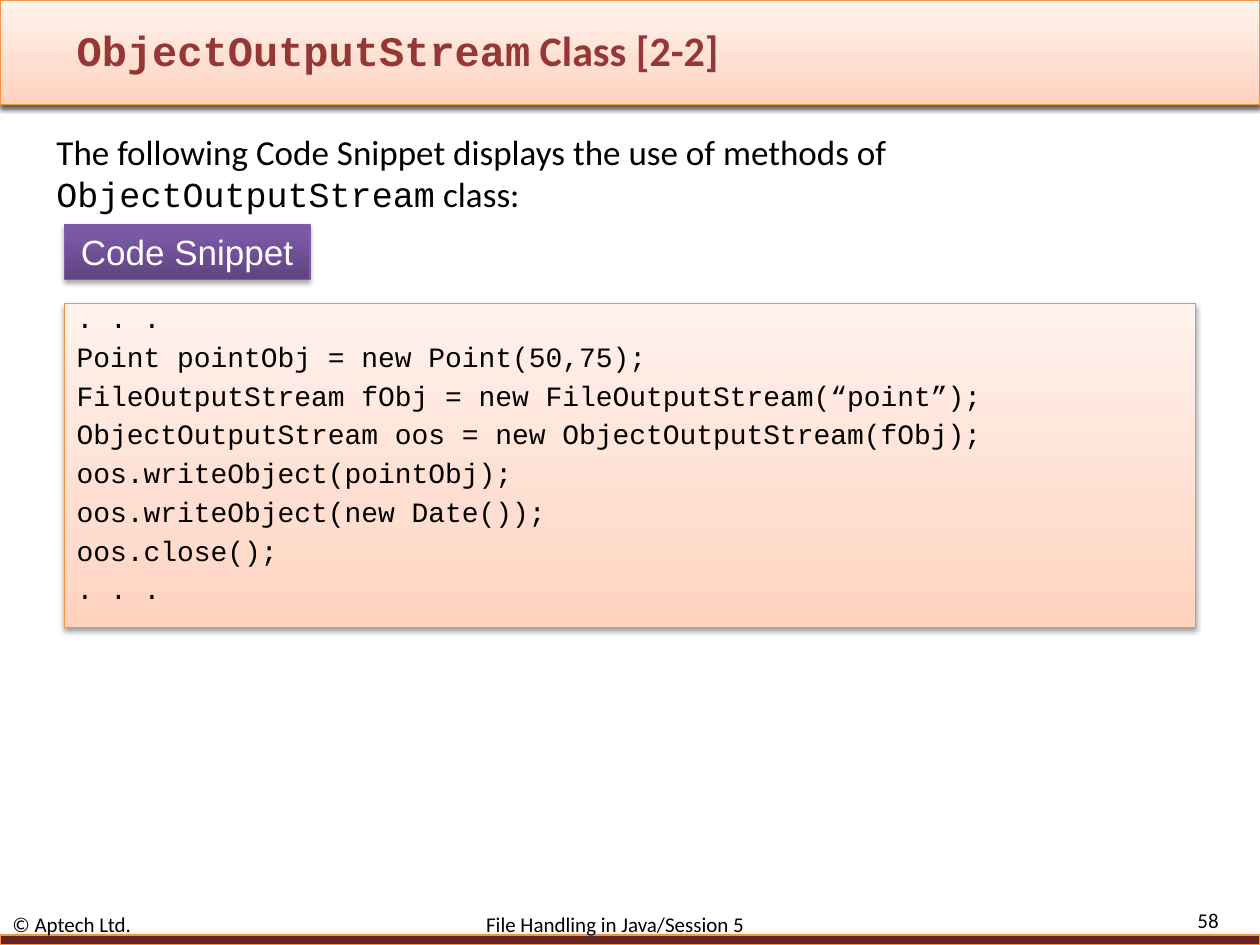
from copy import deepcopy

from lxml.etree import SubElement
from pptx import Presentation
from pptx.dml.color import RGBColor
from pptx.enum.shapes import MSO_SHAPE as Shape
from pptx.enum.text import MSO_ANCHOR as Anchor, PP_ALIGN as Align
from pptx.oxml.ns import qn
from pptx.util import Inches, Pt

BLACK = RGBColor(0x00, 0x00, 0x00)
WHITE = RGBColor(0xFF, 0xFF, 0xFF)
TITLE_RED = RGBColor(0x95, 0x37, 0x35)
MAROON = RGBColor(0x63, 0x25, 0x23)
ORANGE = RGBColor(0xF6, 0x92, 0x40)
PURPLE = RGBColor(0x7D, 0x60, 0xA0)
PEACH_STOPS = [(0, RGBColor(0xFF, 0xD2, 0xBD)), (35, RGBColor(0xFF, 0xDE, 0xD0)),
               (100, RGBColor(0xFF, 0xF2, 0xED))]
PURPLE_STOPS = [(0, RGBColor(0x5F, 0x44, 0x80)), (80, RGBColor(0x7B, 0x58, 0xA6)),
                (100, RGBColor(0x7C, 0x57, 0xA8))]
SANS, CODE, LABEL = "Calibri", "Courier New", "Arial"

CODE_LINES = [
    ". . .",
    "Point pointObj = new Point(50,75);",
    "FileOutputStream fObj = new FileOutputStream(“point”);",
    "ObjectOutputStream oos = new ObjectOutputStream(fObj);",
    "oos.writeObject(pointObj);",
    "oos.writeObject(new Date());",
    "oos.close();",
    ". . .",
]


class SlideBuilder:
    """Draws styled panels and text on one slide."""

    def __init__(self, slide):
        self.slide = slide

    def panel(self, left, top, width, height, fill, line, opacity=38, distance=1.6):
        shape = self.slide.shapes.add_shape(
            Shape.RECTANGLE, Inches(left), Inches(top), Inches(width), Inches(height))
        if isinstance(fill, list):
            self.gradient(shape, fill)
        else:
            shape.fill.solid()
            shape.fill.fore_color.rgb = fill
        shape.line.color.rgb = line
        shape.line.width = Pt(0.75)
        self.shadow(shape, opacity, distance)
        return shape

    def gradient(self, shape, stops):
        shape.fill.gradient()
        shape.fill.gradient_angle = 90
        stop_list = next(shape._element.iter(qn("a:gsLst")))
        stop_list.append(deepcopy(stop_list[0]))
        for stop, (position, color) in zip(shape.fill.gradient_stops, stops):
            stop.position = position / 100
            stop.color.rgb = color

    def shadow(self, shape, opacity, distance):
        shape.shadow.inherit = False
        effects = shape._element.spPr.find(qn("a:effectLst"))
        outer = SubElement(effects, qn("a:outerShdw"), blurRad=str(Pt(3.1)),
                           dist=str(Pt(distance)), dir="5400000", rotWithShape="0")
        color = SubElement(outer, qn("a:srgbClr"), val=str(BLACK))
        SubElement(color, qn("a:alpha"), val=str(opacity * 1000))

    def text_box(self, left, top, width, height, runs, size, color=BLACK,
                 bold=False, anchor=Anchor.MIDDLE, align=Align.LEFT):
        shape = self.slide.shapes.add_textbox(
            Inches(left), Inches(top), Inches(width), Inches(height))
        frame = shape.text_frame
        frame.word_wrap = True
        frame.vertical_anchor = anchor
        paragraph = frame.paragraphs[0]
        paragraph.alignment = align
        for text, font_name in runs:
            run = paragraph.add_run()
            run.text = text
            self.style(run.font, font_name, size, color, bold)
        return paragraph

    def panel_text(self, shape, lines, font_name, size, color, anchor=Anchor.TOP,
                   align=Align.LEFT, line_spacing=1.0, gap=0):
        frame = shape.text_frame
        frame.text = "\n".join(lines)
        frame.word_wrap = True
        frame.vertical_anchor = anchor
        for index, paragraph in enumerate(frame.paragraphs):
            paragraph.alignment = align
            paragraph.line_spacing = line_spacing
            paragraph.space_before = Pt(gap if index else 0)
            self.style(paragraph.runs[0].font, font_name, size, color)

    def tab_stop(self, paragraph, position):
        tabs = SubElement(paragraph._p.get_or_add_pPr(), qn("a:tabLst"))
        SubElement(tabs, qn("a:tab"), pos=str(Inches(position)), algn="l")

    def style(self, font, name, size, color, bold=False):
        font.name = name
        font.size = Pt(size)
        font.color.rgb = color
        font.bold = bold


def main():
    presentation = Presentation()
    presentation.slide_width = Inches(10)
    presentation.slide_height = Inches(7.5)
    builder = SlideBuilder(presentation.slides.add_slide(presentation.slide_layouts[6]))

    for _ in range(2):
        builder.panel(0, 0, 10, 0.83, PEACH_STOPS, ORANGE)
    builder.panel(0, 7.42, 10, 0.08, MAROON, ORANGE, 35, 1.8)
    builder.text_box(0.51, 0.17, 8.07, 0.45,
                     [("ObjectOutputStream", CODE), (" Class [2-2]", SANS)],
                     24, TITLE_RED, bold=True)

    footer = builder.text_box(0, 7.25, 8.83, 0.17,
                              [("© Aptech Ltd.\tFile Handling in Java/Session 5", SANS)], 12)
    builder.tab_stop(footer, 3.76)
    builder.text_box(8.92, 7.21, 0.85, 0.18, [("58", SANS)], 12, align=Align.RIGHT)

    builder.text_box(0.35, 0.99, 9.16, 6.14,
                     [("The following Code Snippet displays the use of methods of ", SANS),
                      ("ObjectOutputStream", CODE), (" class:", SANS)],
                     20, anchor=Anchor.TOP)

    code_panel = builder.panel(0.51, 2.41, 8.98, 2.57, PEACH_STOPS, ORANGE)
    builder.panel_text(code_panel, CODE_LINES, CODE, 16, BLACK, line_spacing=0.7, gap=8.7)
    label = builder.panel(0.51, 1.78, 1.95, 0.44, PURPLE_STOPS, PURPLE, 35, 1.8)
    builder.panel_text(label, ["Code Snippet"], LABEL, 20, WHITE, Anchor.MIDDLE, Align.CENTER)

    presentation.save("out.pptx")


if __name__ == "__main__":
    main()
